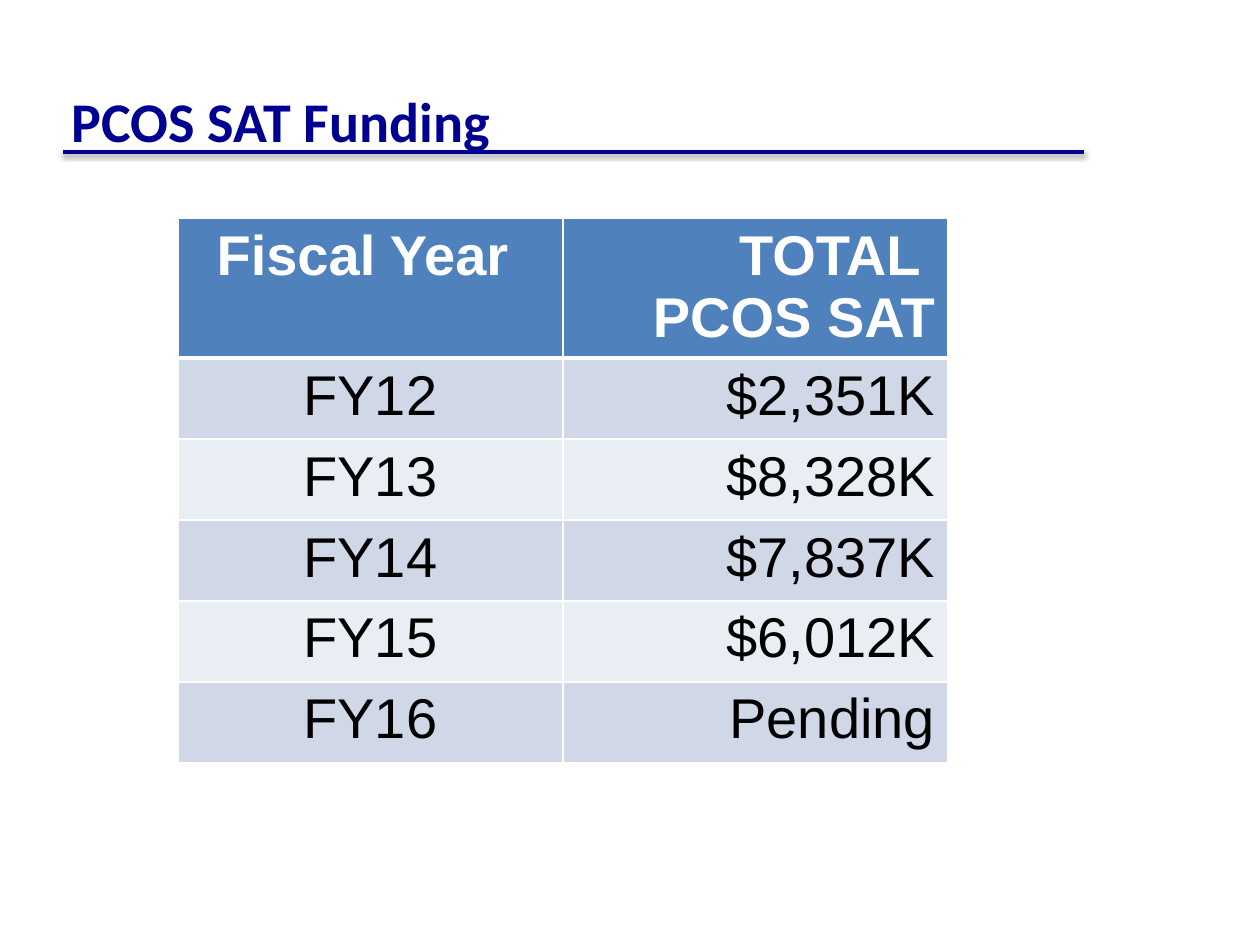
from lxml import etree
from pptx import Presentation
from pptx.dml.color import RGBColor
from pptx.enum.shapes import MSO_CONNECTOR as Link
from pptx.enum.text import MSO_ANCHOR as Anchor, PP_ALIGN as Align
from pptx.oxml import parse_xml
from pptx.oxml.ns import nsdecls, qn
from pptx.util import Pt

TITLE = "PCOS SAT Funding"
HEAD = ("Fiscal Year ", "TOTAL \nPCOS SAT")
ROWS = [
    ("FY12", "$2,351K"),
    ("FY13", "$8,328K"),
    ("FY14", "$7,837K"),
    ("FY15", "$6,012K"),
    ("FY16", "Pending"),
]
ALIGNS = (Align.CENTER, Align.RIGHT)
COLORS = {
    "navy": "000090", "head": "4F81BD", "odd": "D0D8E8",
    "even": "E9EDF4", "white": "FFFFFF", "black": "000000",
}
PX = 914400 // 126
LEFT, TOP, COL_W, HEAD_H, ROW_H = 178, 218, 385, 140, 81


def px(*vals):
    return [v * PX for v in vals]


def rgb(name):
    return RGBColor.from_string(COLORS[name])


def write(frame, text, font="Arial", size=32, color="black", bold=False, align=None):
    frame.text = text
    for para in frame.paragraphs:
        para.alignment = align
        for run in para.runs:
            run.font.name, run.font.size, run.font.bold = font, Pt(size), bold
            run.font.color.rgb = rgb(color)


def edge(cell, **widths):
    """Give the cell white borders; widths are points by side, in L, R, T, B order."""
    props = cell._tc.get_or_add_tcPr()
    for i, (side, width) in enumerate(widths.items()):
        line = etree.Element(qn(f"a:ln{side}"), w=str(Pt(width)))
        fill = etree.SubElement(line, qn("a:solidFill"))
        etree.SubElement(fill, qn("a:srgbClr"), val=COLORS["white"])
        props.insert(i, line)


def add_rule(slide):
    rule = slide.shapes.add_connector(Link.STRAIGHT, *px(63, 152, 1084, 152))
    rule.line.color.rgb = rgb("navy")
    rule.line.width = Pt(2)
    rule._element.spPr.append(parse_xml(
        f'<a:effectLst {nsdecls("a")}><a:outerShdw blurRad="{Pt(3.1)}" '
        f'dist="{Pt(1.6)}" dir="5400000" rotWithShape="0">'
        f'<a:srgbClr val="{COLORS["black"]}"><a:alpha val="38000"/></a:srgbClr>'
        '</a:outerShdw></a:effectLst>'))


def add_title(slide):
    title = slide.shapes.title
    title.left, title.top, title.width, title.height = px(59, -5, 1082, 165)
    title.text_frame.vertical_anchor = Anchor.BOTTOM
    write(title.text_frame, TITLE, font="Calibri", color="navy", bold=True,
          align=Align.LEFT)


def add_funds(slide):
    grid = [HEAD, *ROWS]
    box = px(LEFT, TOP, COL_W * len(HEAD), HEAD_H + ROW_H * len(ROWS))
    table = slide.shapes.add_table(len(grid), len(HEAD), *box).table
    for col in table.columns:
        col.width = COL_W * PX
    for r, texts in enumerate(grid):
        head = r == 0
        table.rows[r].height = (HEAD_H if head else ROW_H) * PX
        for c, text in enumerate(texts):
            cell = table.cell(r, c)
            cell.fill.solid()
            cell.fill.fore_color.rgb = rgb("head" if head else "odd" if r % 2 else "even")
            write(cell.text_frame, text, color="white" if head else "black",
                  bold=head, align=ALIGNS[c])
            edge(cell, L=1, R=1, T=3 if r == 1 else 1, B=3 if head else 1)


def main():
    deck = Presentation()
    deck.slide_width, deck.slide_height = px(1260, 945)
    slide = deck.slides.add_slide(deck.slide_layouts[5])
    add_rule(slide)
    add_title(slide)
    add_funds(slide)
    deck.save("out.pptx")


if __name__ == "__main__":
    main()
